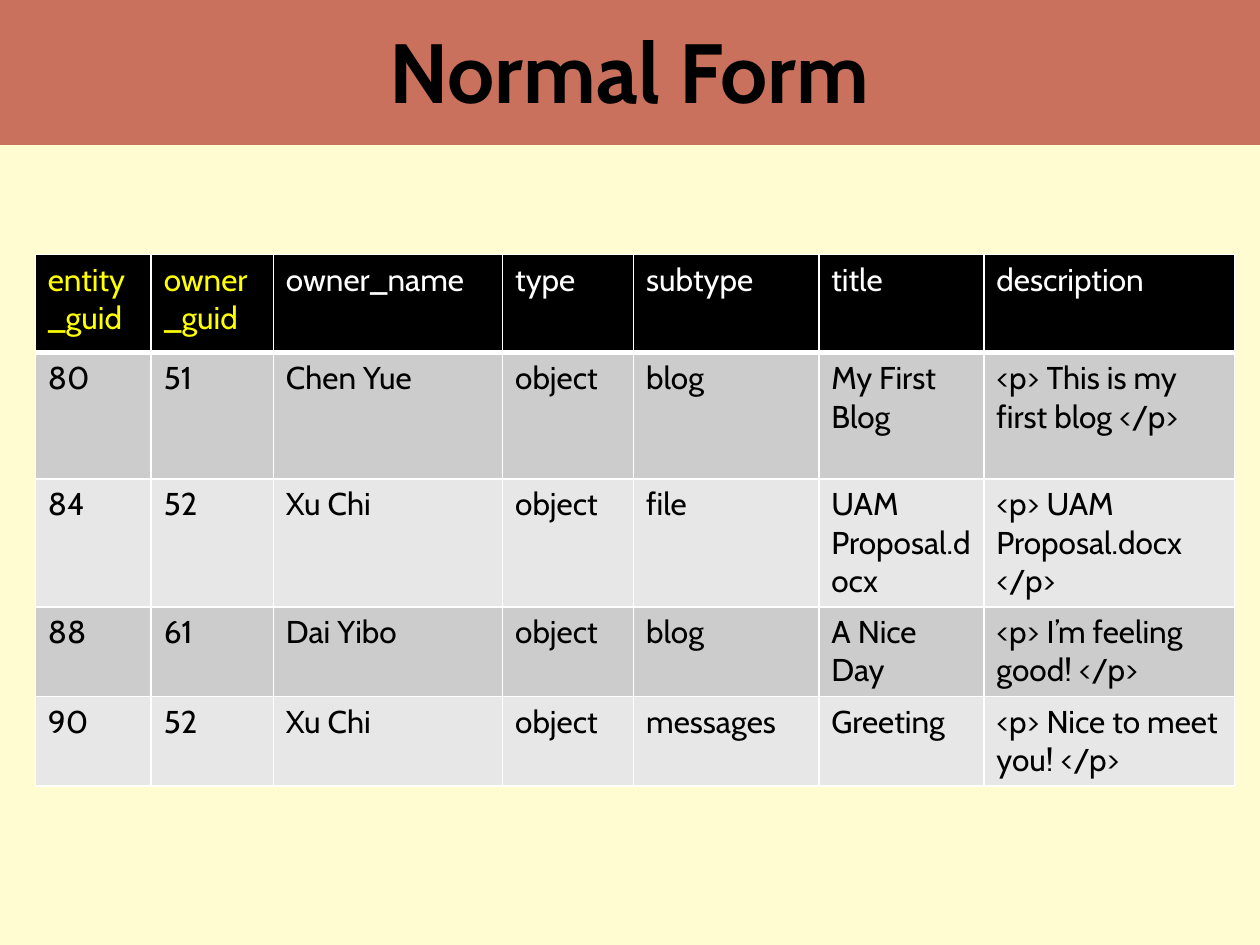
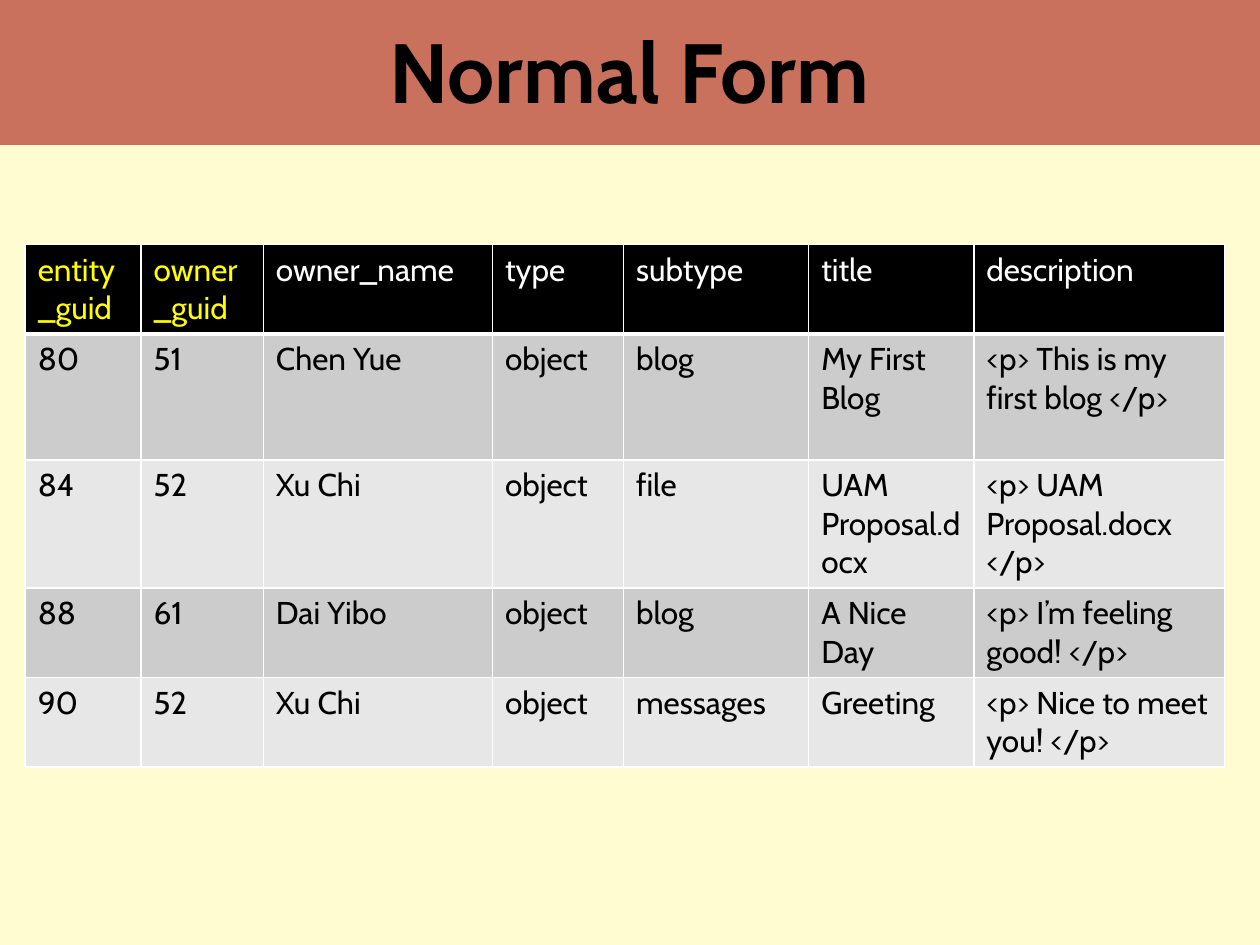
from lxml import etree
from pptx import Presentation
from pptx import util as u
from pptx.dml.color import RGBColor
from pptx.enum import shapes, text
from pptx.oxml import ns

WIDTH, HEIGHT = 10, 7.5
FONT = "Cabin"
CREAM, CLAY = "FFFCD1", "CA715D"
BLACK, WHITE, YELLOW = "000000", "FFFFFF", "FFFF00"
BANDS = ("CCCCCC", "E7E7E7")

HEADINGS = ("entity_guid", "owner_guid", "owner_name", "type", "subtype",
            "title", "description")
KEY_COLUMNS = 2
ENTITIES = (
    ("80", "51", "Chen Yue", "object", "blog", "My First Blog",
     "<p> This is my first blog </p>"),
    ("84", "52", "Xu Chi", "object", "file", "UAM Proposal.docx",
     "<p> UAM Proposal.docx </p>"),
    ("88", "61", "Dai Yibo", "object", "blog", "A Nice Day",
     "<p> I’m feeling good! </p>"),
    ("90", "52", "Xu Chi", "object", "messages", "Greeting",
     "<p> Nice to meet you! </p>"),
)
COLUMN_WIDTHS = (0.92, 0.97, 1.82, 1.04, 1.47, 1.31, 1.99)
ENTITY_HEIGHTS = (1, 1, 0.7, 0.7)


def paint(target, color):
    """Give a fill, line or font format a solid hex colour."""
    if hasattr(target, "solid"):
        target.solid()
        target = target.fore_color
    else:
        target = target.color
    target.rgb = RGBColor.from_string(color)


def add_span(para, words, size, color, bold=False):
    """Append one formatted run to a paragraph."""
    span = para.add_run()
    span.text = words
    span.font.name = FONT
    span.font.size = u.Pt(size)
    span.font.bold = bold
    paint(span.font, color)


def add_header(page, words):
    """Lay the clay band across the top and set the title on it."""
    title = page.shapes.title
    band = page.shapes.add_shape(shapes.MSO_SHAPE.RECTANGLE, 0, 0,
                                 u.Inches(WIDTH), u.Inches(1.15))
    band.shadow.inherit = False
    paint(band.fill, CLAY)
    band.line.fill.background()
    title.element.addprevious(band.element)

    title.left, title.top = u.Inches(0.51), 0
    title.width, title.height = u.Inches(8.97), u.Inches(1.11)
    frame = title.text_frame
    frame.word_wrap = True
    frame.auto_size = text.MSO_AUTO_SIZE.NONE
    frame.vertical_anchor = text.MSO_ANCHOR.MIDDLE
    para = frame.paragraphs[0]
    para.alignment = text.PP_ALIGN.CENTER
    add_span(para, words, 48, BLACK, bold=True)


def add_borders(cell, bottom):
    """Draw white cell borders, one point wide except for the bottom."""
    properties = cell._tc.get_or_add_tcPr()
    for side, points in (("L", 1), ("R", 1), ("T", 1), ("B", bottom)):
        line = etree.SubElement(properties, ns.qn(f"a:ln{side}"),
                                w=str(u.Pt(points)))
        fill = etree.SubElement(line, ns.qn("a:solidFill"))
        etree.SubElement(fill, ns.qn("a:srgbClr"), val=WHITE)


def fill_cell(cell, words, fill, color, bottom=1):
    """Write one table cell with its borders, fill and text."""
    add_borders(cell, bottom)
    paint(cell.fill, fill)
    add_span(cell.text_frame.paragraphs[0], words, 18, color)


def add_entity_table(page, left, top, header_height):
    """Place the entity table with a black header and banded rows."""
    heights = (header_height, *ENTITY_HEIGHTS)
    frame = page.shapes.add_table(
        len(heights), len(HEADINGS), u.Inches(left), u.Inches(top),
        u.Inches(sum(COLUMN_WIDTHS)), u.Inches(sum(heights)))
    table = frame.table
    for column, width in zip(table.columns, COLUMN_WIDTHS):
        column.width = u.Inches(width)
    for row, height in zip(table.rows, heights):
        row.height = u.Inches(height)
    for col, heading in enumerate(HEADINGS):
        color = YELLOW if col < KEY_COLUMNS else WHITE
        fill_cell(table.cell(0, col), heading, BLACK, color, bottom=3)
    for row, entity in enumerate(ENTITIES):
        for col, value in enumerate(entity):
            fill_cell(table.cell(row + 1, col), value,
                      BANDS[row % len(BANDS)], BLACK)


def main():
    """Build both Normal Form slides and save the deck."""
    deck = Presentation()
    deck.slide_width, deck.slide_height = u.Inches(WIDTH), u.Inches(HEIGHT)
    paint(deck.slide_master.background.fill, CREAM)
    title_only = deck.slide_layouts.get_by_name("Title Only")
    for left, top, header_height in ((0.28, 2.02, 0.78), (0.2, 1.94, 0.7)):
        page = deck.slides.add_slide(title_only)
        add_header(page, "Normal Form")
        add_entity_table(page, left, top, header_height)
    deck.save("out.pptx")


if __name__ == "__main__":
    main()
